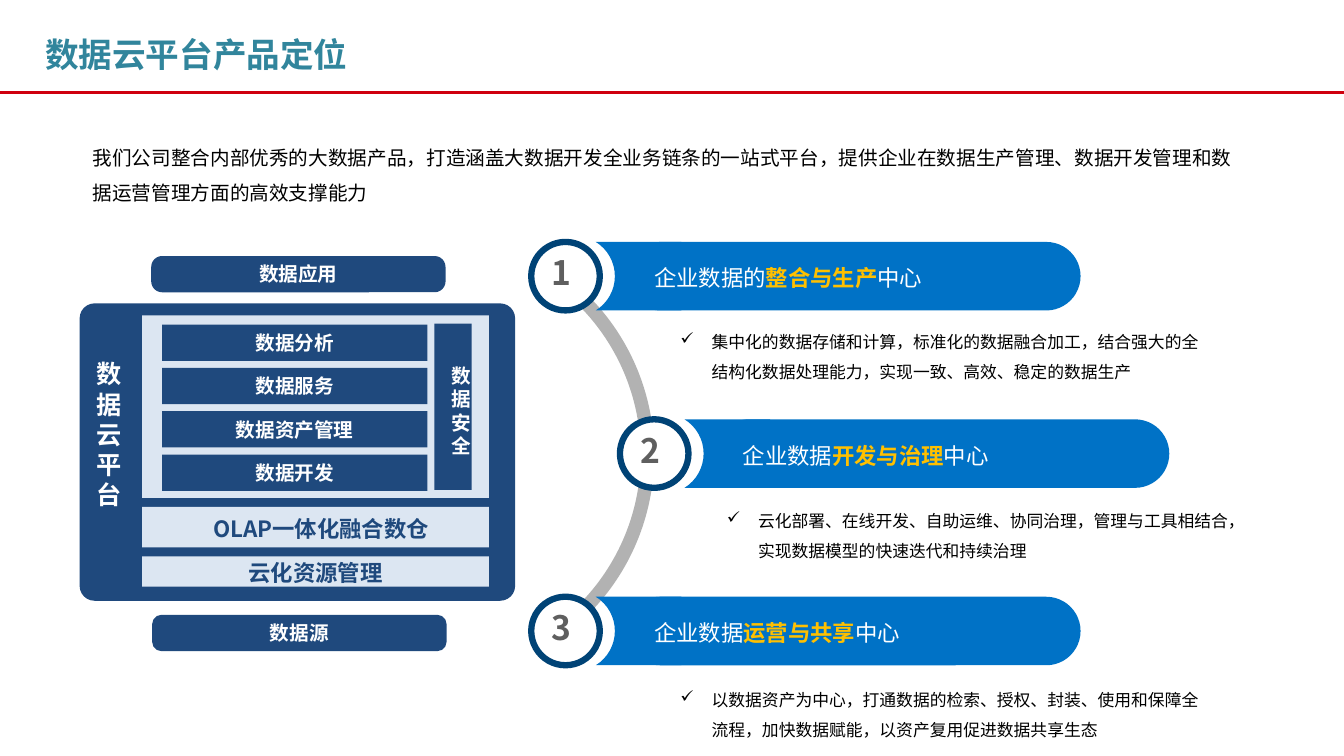
from math import asin, cos, sin

from pptx import Presentation
from pptx.dml.color import RGBColor
from pptx.enum.shapes import MSO_CONNECTOR, MSO_SHAPE as Shape
from pptx.enum.text import MSO_ANCHOR as Anchor, PP_ALIGN as Align
from pptx.oxml.ns import qn
from pptx.util import Inches, Pt
from lxml.etree import SubElement

COLUMNS, ROWS = 133.33, 75
CELL = Inches(0.1)
FONT = "Noto Sans CJK SC"
NAVY, PALE, BLUE, RING = "1F497D", "DCE6F2", "0072C6", "004376"
WHITE, BLACK, GOLD, GREY = "FFFFFF", "000000", "FFC000", "5F5F5F"

LAYERS = ["数据分析", "数据服务", "数据资产管理", "数据开发"]
CENTERS = [
    (0, "企业数据的", "整合与生产",
     "集中化的数据存储和计算，标准化的数据融合加工，结合强大的全结构化数据处理能力，实现一致、高效、稳定的数据生产"),
    (1, "企业数据", "开发与治理",
     "云化部署、在线开发、自助运维、协同治理，管理与工具相结合，实现数据模型的快速迭代和持续治理"),
    (0, "企业数据", "运营与共享",
     "以数据资产为中心，打通数据的检索、授权、封装、使用和保障全流程，加快数据赋能，以资产复用促进数据共享生态"),
]


def grid(*cells):
    return [round(cell * CELL) for cell in cells]


def color(value):
    return RGBColor.from_string(value)


def paint(shape, fill, line=None, weight=0):
    shape.shadow.inherit = False
    shape.fill.solid()
    shape.fill.fore_color.rgb = color(fill)
    if line:
        shape.line.color.rgb = color(line)
        shape.line.width = Pt(weight)
    else:
        shape.line.fill.background()


def add_block(page, kind, place, fill, adjust=(), line=None, weight=0):
    block = page.shapes.add_shape(kind, *grid(*place))
    for index, value in enumerate(adjust):
        block.adjustments[index] = value
    paint(block, fill, line, weight)
    return block


def add_box(page, place):
    return page.shapes.add_textbox(*grid(*place))


def write(shape, spans, size, ink, bold=False, align=Align.CENTER, anchor=Anchor.MIDDLE,
          insets=(1, 0, 1, 0), spacing=None, bullet=None, font=FONT):
    frame = shape.text_frame
    frame.word_wrap = True
    frame.vertical_anchor = anchor
    (frame.margin_left, frame.margin_top,
     frame.margin_right, frame.margin_bottom) = grid(*insets)
    para = frame.paragraphs[0]
    para.alignment = align
    if spacing:
        para.line_spacing = spacing
    if bullet:
        props = para._p.get_or_add_pPr()
        indent = grid(3.1)[0]
        props.set("marL", str(indent))
        props.set("indent", str(-indent))
        SubElement(props, qn("a:buChar")).set("char", bullet)
    para.font.size = Pt(size)
    para.font.bold = bold
    para.font.name = font
    para.font.color.rgb = color(ink)
    SubElement(para._p.pPr.find(qn("a:defRPr")), qn("a:ea")).set("typeface", FONT)
    for text, accent in spans:
        span = para.add_run()
        span.text = text
        if accent:
            span.font.bold = True
            span.font.color.rgb = color(accent)


def add_header(page):
    title = add_box(page, (3.5, 2.7, 81.3, 5.3))
    write(title, [("数据云平台产品定位", None)], 24, "31859C", True, Align.LEFT, font="Arial")
    rule = page.shapes.add_connector(MSO_CONNECTOR.STRAIGHT, *grid(0, 9.15, COLUMNS, 9.15))
    rule.line.color.rgb = color("CF000E")
    rule.line.width = Pt(2.25)
    SubElement(rule._element.spPr, qn("a:effectLst"))
    intro = add_box(page, (8.2, 12.5, 116.2, 8.6))
    write(intro, [("我们公司整合内部优秀的大数据产品，打造涵盖大数据开发全业务链条的一站式平台，"
                   "提供企业在数据生产管理、数据开发管理和数据运营管理方面的高效支撑能力", None)],
          14, BLACK, align=Align.LEFT, insets=(1, 0.5, 1, 0.5), spacing=1.5)


def add_notch(page, left, top):
    radius, half, width, center = 4, 3.4, 8.5, -2.1
    reach = asin(half / radius)
    steps = 16
    arc = []
    for step in range(steps + 1):
        angle = reach * (1 - 2 * step / steps)
        arc.append(tuple(grid(left + center + radius * cos(angle),
                              top + half + radius * sin(angle))))
    builder = page.shapes.build_freeform(*grid(left, top))
    corners = [tuple(grid(left + width, top)), tuple(grid(left + width, top + 2 * half))]
    builder.add_line_segments(corners + arc, close=True)
    paint(builder.convert_to_shape(), BLUE)


def add_center(page, index, shift, lead, accent, detail):
    left, top = 52.7 + 8.8 * shift, 24 + 17.6 * index
    ring = add_block(page, Shape.OVAL, (left, top, 6.8, 6.8), WHITE, line=RING, weight=4.5)
    write(ring, [(str(index + 1), None)], 24, GREY, True, insets=(0, 0, 0.8, 0.8))
    add_notch(page, left + 6.4, top)
    banner = add_block(page, Shape.ROUNDED_RECTANGLE, (left + 9.4, top, 45.1, 6.8), BLUE, [0.5])
    write(banner, [(lead, None), (accent, GOLD), ("中心", None)], 16, WHITE,
          align=Align.LEFT, insets=(1.8, 0.3, 1, 0))
    note = add_box(page, (66.3 + 4.6 * shift, 31.3 + 17.75 * index, 53.9 + 0.9 * shift, 6.9))
    write(note, [(detail, None)], 12, BLACK, align=Align.LEFT, anchor=Anchor.TOP,
          insets=(1.2, 0.6, 1.2, 0.6), spacing=1.5, bullet="✓")


def add_platform(page):
    add_block(page, Shape.ROUNDED_RECTANGLE, (7.9, 30.1, 43.2, 29.5), NAVY, [0.05])
    add_block(page, Shape.RECTANGLE, (14.1, 31.3, 34.4, 18.1), PALE)
    for index, name in enumerate(LAYERS):
        layer = add_block(page, Shape.RECTANGLE, (16.1, 32.2 + 4.3 * index, 26.3, 3.6), NAVY)
        write(layer, [(name, None)], 14, WHITE, True)
    for name, left, top, radius in [("数据应用", 15, 25.4, 0.3), ("数据源", 15.1, 61, 0.25)]:
        end = add_block(page, Shape.ROUNDED_RECTANGLE, (left, top, 29.2, 3.6), NAVY, [radius])
        write(end, [(name, None)], 14, WHITE, True)
    for name, top, height, inset in [("OLAP一体化融合数仓", 50.3, 4, 2.1),
                                     ("云化资源管理", 55.2, 3, 1)]:
        base = add_block(page, Shape.RECTANGLE, (14.1, top, 34.4, height), PALE)
        write(base, [(name, None)], 16, NAVY, True, insets=(inset, 0.3, 1, 0))
    security = add_block(page, Shape.RECTANGLE, (43.1, 32.1, 3.7, 16.5), NAVY)
    write(security, [("数据安全", None)], 14, WHITE, True, insets=(1.65, 0.8, 0, 0))
    name = add_box(page, (8.6, 35.1, 4.8, 16.2))
    write(name, [("数据云平台", None)], 18, WHITE, True, Align.LEFT, Anchor.TOP,
          insets=(1, 0.5, 1, 0.5))


def main():
    deck = Presentation()
    deck.slide_width, deck.slide_height = grid(COLUMNS, ROWS)
    page = deck.slides.add_slide(deck.slide_layouts[6])
    add_header(page)
    arc = add_block(page, Shape.BLOCK_ARC, (20.2, 22.8, 44.7, 44.7), "B2B2B2",
                    [125.59, 198.88, 0.03])
    arc.rotation = 90
    for index, center in enumerate(CENTERS):
        add_center(page, index, *center)
    add_platform(page)
    deck.save("out.pptx")


if __name__ == "__main__":
    main()
